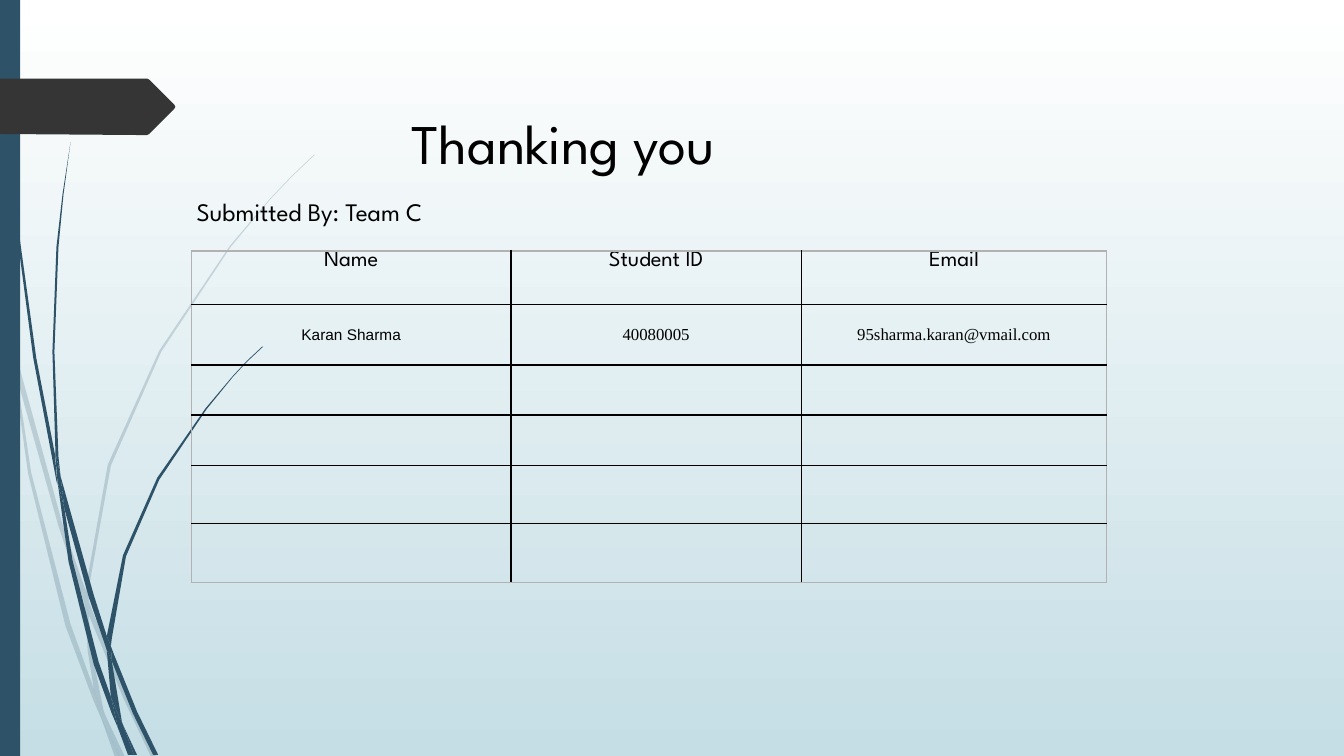
from dataclasses import dataclass

from lxml.etree import SubElement
from pptx import Presentation
from pptx.dml.color import RGBColor
from pptx.enum.shapes import MSO_SHAPE as SHAPE
from pptx.enum.text import MSO_ANCHOR as ANCHOR, PP_ALIGN as ALIGN
from pptx.oxml.ns import qn
from pptx.util import Pt


@dataclass(frozen=True)
class Theme:
    stalk: str = "2E5369"
    arrow: str = "353535"
    text: str = "000000"
    inner_border: str = "000000"
    outer_border: str = "B2B2B2"
    sky: tuple = ("FFFFFF", "C5DEE5")
    font: str = "League Spartan"
    title: int = 40
    subtitle: int = 18
    header: int = 16
    name: int = 11
    detail: int = 12


# Outlines are in hundredths of an inch, which is 0.72 points.
UNIT = Pt(0.72)

PALE_STALKS = [
    [(11, 350), (9, 322), (0, 282), (0, 299), (10, 344)],
    [(58, 522), (84, 599), (85, 586), (62, 520), (14, 345), (17, 376)],
    [(92, 607), (88, 596), (88, 610), (123, 694), (150, 751), (155, 751), (127, 692)],
    [(119, 751), (124, 751), (105, 711)],
    [(93, 683), (70, 619), (31, 469), (17, 376), (11, 350), (28, 470),
     (65, 621), (92, 693), (101, 714), (99, 707)],
    [(84, 599), (87, 646), (93, 683), (96, 692), (105, 711), (103, 706),
     (91, 646), (88, 610), (88, 608)],
    [(88, 584), (110, 462), (160, 349), (229, 245), (268, 198), (290, 175),
     (312, 154), (312, 153), (289, 175), (268, 197), (228, 244), (158, 348),
     (107, 461), (85, 584), (85, 586), (88, 596)],
    [(101, 714), (114, 751), (119, 751)],
    [(88, 608), (88, 610), (88, 596), (85, 586), (84, 599)],
    [(96, 692), (93, 683), (99, 707), (101, 714), (119, 751), (105, 711)],
]

DARK_STALKS = [
    [(7, 110), (17, 233), (33, 355), (56, 477), (57, 481), (55, 457), (55, 453),
     (36, 355), (19, 232), (8, 109), (5, 48), (4, 0), (3, 0), (4, 48)],
    [(88, 592), (106, 645), (106, 633), (106, 631), (93, 590), (60, 472), (64, 505)],
    [(113, 649), (110, 641), (111, 656), (132, 708), (152, 749), (157, 749), (136, 706)],
    [(110, 691), (98, 657), (72, 556), (64, 505), (57, 477), (68, 557),
     (93, 659), (111, 708), (117, 722), (116, 717)],
    [(60, 472), (58, 453), (54, 349), (58, 245), (63, 193), (70, 141),
     (62, 193), (56, 245), (52, 349), (55, 449)],
    [(133, 749), (136, 749), (122, 719)],
    [(57, 477), (64, 505), (60, 472), (55, 449), (55, 453)],
    [(111, 633), (125, 552), (158, 476), (205, 406), (231, 374), (245, 359),
     (261, 344), (260, 344), (245, 358), (231, 373), (204, 405), (156, 474),
     (122, 551), (106, 631), (110, 641)],
    [(117, 722), (127, 749), (131, 749)],
    [(106, 645), (110, 691), (116, 706), (122, 719), (121, 716), (111, 656), (109, 651)],
    [(106, 645), (109, 651), (111, 656), (110, 641), (106, 631), (106, 633)],
    [(116, 706), (110, 691), (116, 717), (117, 722), (130, 749), (133, 749), (122, 719)],
]

ARROW = [(173, 108), (148, 133), (146, 134), (136, 134), (0, 133), (0, 78),
         (136, 78), (146, 78), (148, 79), (173, 104), (174, 106)]

COLUMNS = [228.2, 207.4, 218.2]
ROWS = [38, 43.4, 35.8, 35.8, 42, 42]
HEADERS = ["Name", "Student ID", "Email"]
MEMBER = ["Karan Sharma", "40080005", "95sharma.karan@vmail.com"]
MEMBER_FONTS = ["Arial", "Times New Roman", "Times New Roman"]


class Deck:
    def __init__(self, prs, theme):
        self.theme = theme
        self.slide = prs.slides.add_slide(prs.slide_layouts[6])

    def background(self):
        fill = self.slide.background.fill
        fill.gradient()
        fill.gradient_angle = 270
        for stop, color in zip(fill.gradient_stops, self.theme.sky):
            stop.color.rgb = RGBColor.from_string(color)

    def paint(self, sp, color, alpha=None):
        """Give a flat fill, with alpha as a percentage."""
        sp.shadow.inherit = False
        sp.fill.solid()
        sp.fill.fore_color.rgb = RGBColor.from_string(color)
        sp.line.fill.background()
        if alpha is not None:
            clr = sp._element.spPr.find(qn("a:solidFill")).find(qn("a:srgbClr"))
            SubElement(clr, qn("a:alpha"), val=str(alpha * 1000))

    def outline(self, points, color, alpha=None):
        builder = self.slide.shapes.build_freeform(*points[0], scale=UNIT)
        builder.add_line_segments(points[1:], close=True)
        self.paint(builder.convert_to_shape(), color, alpha)

    def bar(self, x, y, w, h, color):
        sp = self.slide.shapes.add_shape(SHAPE.RECTANGLE, Pt(x), Pt(y), Pt(w), Pt(h))
        self.paint(sp, color)

    def set_text(self, tf, text, size, font):
        tf.text = text
        p = tf.paragraphs[0]
        for r in p.runs:
            r.font.size = Pt(size)
            r.font.name = font
            r.font.color.rgb = RGBColor.from_string(self.theme.text)
        return p

    def text(self, x, y, w, h, text, size):
        tf = self.slide.shapes.add_textbox(Pt(x), Pt(y), Pt(w), Pt(h)).text_frame
        tf.word_wrap = True
        tf.margin_left = tf.margin_right = tf.margin_top = tf.margin_bottom = Pt(3.6)
        self.set_text(tf, text, size, self.theme.font)

    def table(self, x, y, columns, rows):
        frame = self.slide.shapes.add_table(len(rows), len(columns), Pt(x), Pt(y),
                                            Pt(sum(columns)), Pt(sum(rows)))
        table = frame.table
        table.first_row = table.horz_banding = False
        for column, width in zip(table.columns, columns):
            column.width = Pt(width)
        for row, height in zip(table.rows, rows):
            row.height = Pt(height)
        for i in range(len(rows)):
            for j in range(len(columns)):
                cell = table.cell(i, j)
                self.borders(cell, {"L": j == 0, "R": j == len(columns) - 1,
                                    "T": i == 0, "B": i == len(rows) - 1})
                cell.fill.background()
        return table

    def borders(self, cell, sides):
        """Draw the four sides; each value tells if that side is on the table's edge."""
        props = cell._tc.get_or_add_tcPr()
        for side, outer in sides.items():
            ln = SubElement(props, qn(f"a:ln{side}"), w=str(Pt(1)))
            color = self.theme.outer_border if outer else self.theme.inner_border
            SubElement(SubElement(ln, qn("a:solidFill")), qn("a:srgbClr"), val=color)

    def cell(self, cell, text, size, font, anchor):
        cell.margin_left = cell.margin_right = cell.margin_top = cell.margin_bottom = 0
        cell.vertical_anchor = anchor
        p = self.set_text(cell.text_frame, text, size, font)
        p.alignment = ALIGN.CENTER
        return p


def main():
    prs = Presentation()
    prs.slide_width, prs.slide_height = Pt(960), Pt(540)
    theme = Theme()
    deck = Deck(prs, theme)

    deck.background()
    for stalk in PALE_STALKS:
        deck.outline(stalk, theme.stalk, alpha=20)
    for stalk in DARK_STALKS:
        deck.outline(stalk, theme.stalk)
    deck.bar(0, 0, 14.4, 540, theme.stalk)
    deck.outline(ARROW, theme.arrow)

    table = deck.table(136.8, 179.3, COLUMNS, ROWS)
    for j, header in enumerate(HEADERS):
        deck.cell(table.cell(0, j), header, theme.header, theme.font, ANCHOR.TOP)
    sizes = [theme.name, theme.detail, theme.detail]
    for j, (value, size, font) in enumerate(zip(MEMBER, sizes, MEMBER_FONTS)):
        p = deck.cell(table.cell(1, j), value, size, font, ANCHOR.MIDDLE)
        if j == 0:
            p.line_spacing = 1.07
            p.space_after = Pt(8.7)

    deck.text(136.8, 136.8, 422.6, 28.8, "Submitted By: Team C", theme.subtitle)
    deck.text(290.2, 74.2, 267.1, 55.4, "Thanking you", theme.title)
    prs.save("out.pptx")


if __name__ == "__main__":
    main()
